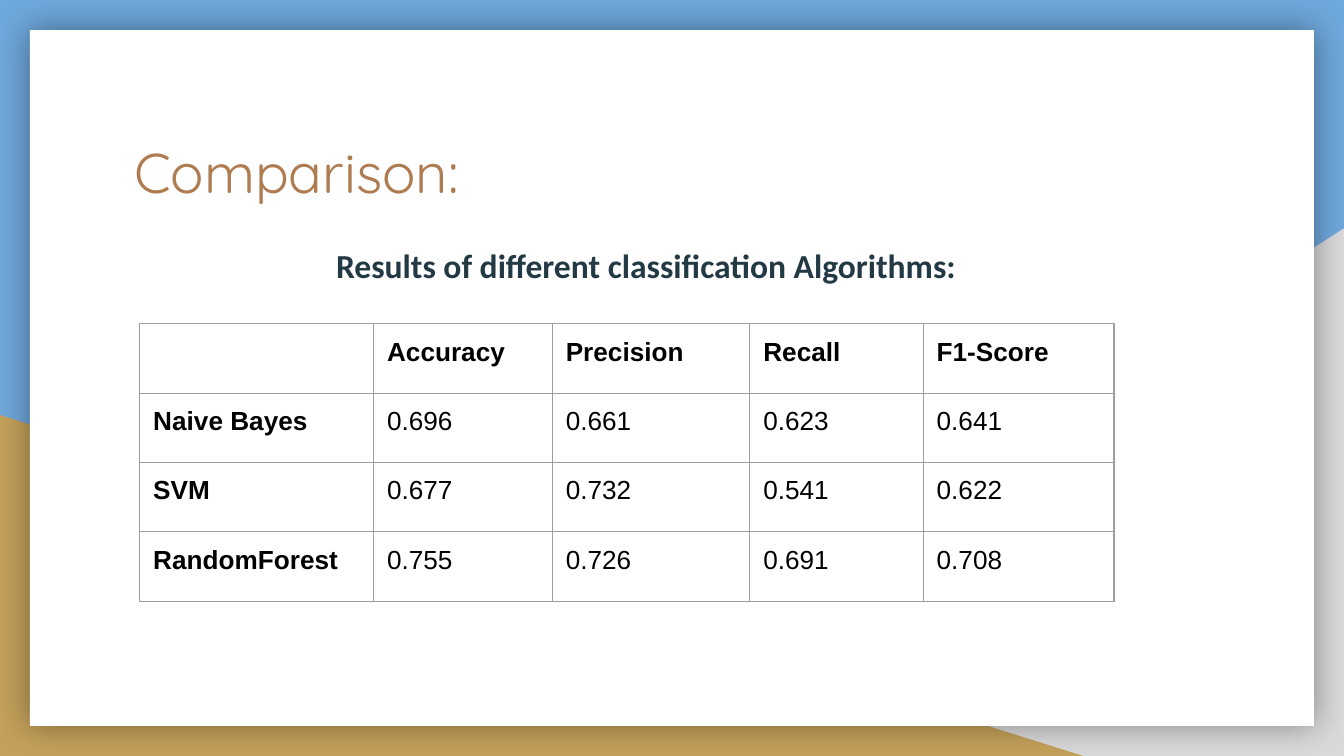
import collections

import pptx
import pptx.dml.color
import pptx.enum.shapes
import pptx.enum.text
import pptx.oxml
import pptx.oxml.ns
import pptx.util

Box = collections.namedtuple("Box", "left top width height")
SHAPES = pptx.enum.shapes.MSO_SHAPE
NAMESPACE = pptx.oxml.ns.nsdecls("a")
INSET = pptx.util.Inches(0.1)
SLIDE = Box(0, 0, pptx.util.Inches(10), pptx.util.Inches(5.625))

COLUMN_WIDTHS = [1.74, 1.33, 1.47, 1.29, 1.42]
RESULTS = [
    ["", "Accuracy", "Precision", "Recall", "F1-Score"],
    ["Naive Bayes", "0.696", "0.661", "0.623", "0.641"],
    ["SVM", "0.677", "0.732", "0.541", "0.622"],
    ["RandomForest", "0.755", "0.726", "0.691", "0.708"],
]


def percent_of(box, left, top, width, height):
    return Box(
        round(box.left + box.width * left / 100),
        round(box.top + box.height * top / 100),
        round(box.width * width / 100),
        round(box.height * height / 100),
    )


def paint(colour_format, colour):
    colour_format.rgb = pptx.dml.color.RGBColor.from_string(colour)


def write(frame, wording, size, font, colour, bold=False, spacing=1.0, after=0):
    paragraph = frame.paragraphs[0]
    paragraph.alignment = pptx.enum.text.PP_ALIGN.LEFT
    paragraph.line_spacing = spacing
    paragraph.space_before = pptx.util.Pt(0)
    paragraph.space_after = pptx.util.Pt(after)
    run = paragraph.add_run()
    run.text = wording
    run.font.size = pptx.util.Pt(size)
    run.font.name = font
    run.font.bold = bold
    paint(run.font.color, colour)
    return paragraph


def add_panel(slide, kind, box, colour):
    panel = slide.shapes.add_shape(kind, *box)
    panel.shadow.inherit = False
    panel.fill.solid()
    paint(panel.fill.fore_color, colour)
    panel.line.fill.background()
    return panel


def add_backdrop(slide, box):
    slide.background.fill.solid()
    paint(slide.background.fill.fore_color, "6FA8DC")
    grey_corner = add_panel(
        slide, SHAPES.RIGHT_TRIANGLE, percent_of(box, 39.2, 30.2, 60.8, 69.8), "D9D9D9"
    )
    grey_corner._element.spPr.xfrm.set("flipH", "1")
    add_panel(slide, SHAPES.RIGHT_TRIANGLE, percent_of(box, 0, 54.9, 80.6, 45.1), "C4A15A")
    card = add_panel(slide, SHAPES.RECTANGLE, percent_of(box, 2.23, 3.97, 95.54, 92.06), "FFFFFF")
    glow = pptx.oxml.parse_xml(
        f'<a:outerShdw {NAMESPACE} blurRad="{pptx.util.Pt(18)}" dist="0" dir="0" '
        'algn="ctr" rotWithShape="0"><a:srgbClr val="000000">'
        '<a:alpha val="40000"/></a:srgbClr></a:outerShdw>'
    )
    card._element.spPr.find(pptx.oxml.ns.qn("a:effectLst")).append(glow)


def fill_placeholder(slide, placeholder, box, wording, **text_format):
    slide.shapes._spTree.append(placeholder._element)
    placeholder.left, placeholder.top, placeholder.width, placeholder.height = box
    frame = placeholder.text_frame
    frame.word_wrap = True
    frame.auto_size = pptx.enum.text.MSO_AUTO_SIZE.NONE
    frame.vertical_anchor = pptx.enum.text.MSO_ANCHOR.TOP
    frame.margin_left = frame.margin_right = INSET
    frame.margin_top = frame.margin_bottom = INSET
    return write(frame, wording, **text_format)


def add_heading(slide, box):
    fill_placeholder(
        slide, slide.shapes.title, box, "Comparison:",
        size=30, font="Quicksand", colour="AF7B51",
    )


def add_caption(slide, box):
    caption = fill_placeholder(
        slide, slide.placeholders[1], box, "Results of different classification Algorithms:",
        size=18, font="Calibri", colour="233A44", bold=True, spacing=1.15, after=16,
    )
    properties = caption._p.get_or_add_pPr()
    properties.set("marL", str(pptx.util.Inches(1)))
    properties.set("indent", str(pptx.util.Inches(0.5)))
    properties.append(pptx.oxml.parse_xml(f"<a:buNone {NAMESPACE}/>"))


def outline_cell(cell, colour, weight):
    properties = cell._tc.get_or_add_tcPr()
    for side in "LRTB":
        properties.append(pptx.oxml.parse_xml(
            f'<a:ln{side} {NAMESPACE} w="{pptx.util.Pt(weight)}"><a:solidFill>'
            f'<a:srgbClr val="{colour}"/></a:solidFill></a:ln{side}>'
        ))


def add_results(slide, box):
    results = slide.shapes.add_table(len(RESULTS), len(COLUMN_WIDTHS), *box).table
    results.first_row = results.horz_banding = False
    for column, width in zip(results.columns, COLUMN_WIDTHS):
        column.width = round(box.width * width / sum(COLUMN_WIDTHS))
    for row, scores in enumerate(RESULTS):
        for column, score in enumerate(scores):
            cell = results.cell(row, column)
            outline_cell(cell, "9E9E9E", 0.75)
            cell.fill.background()
            cell.margin_left = cell.margin_right = INSET
            cell.margin_top = cell.margin_bottom = INSET
            if score:
                write(
                    cell.text_frame, score, size=14, font="Arial",
                    colour="000000", bold=row == 0 or column == 0,
                )


def build_comparison(slide, box):
    add_backdrop(slide, box)
    add_heading(slide, percent_of(box, 9, 16.36, 82.1, 10.84))
    add_caption(slide, percent_of(box, 9, 29.87, 82.1, 56.53))
    add_results(slide, percent_of(box, 10.4, 42.84, 72.5, 36.7))


def main():
    presentation = pptx.Presentation()
    presentation.slide_width, presentation.slide_height = SLIDE.width, SLIDE.height
    slide = presentation.slides.add_slide(presentation.slide_layouts[1])
    build_comparison(slide, SLIDE)
    presentation.save("out.pptx")


if __name__ == "__main__":
    main()
